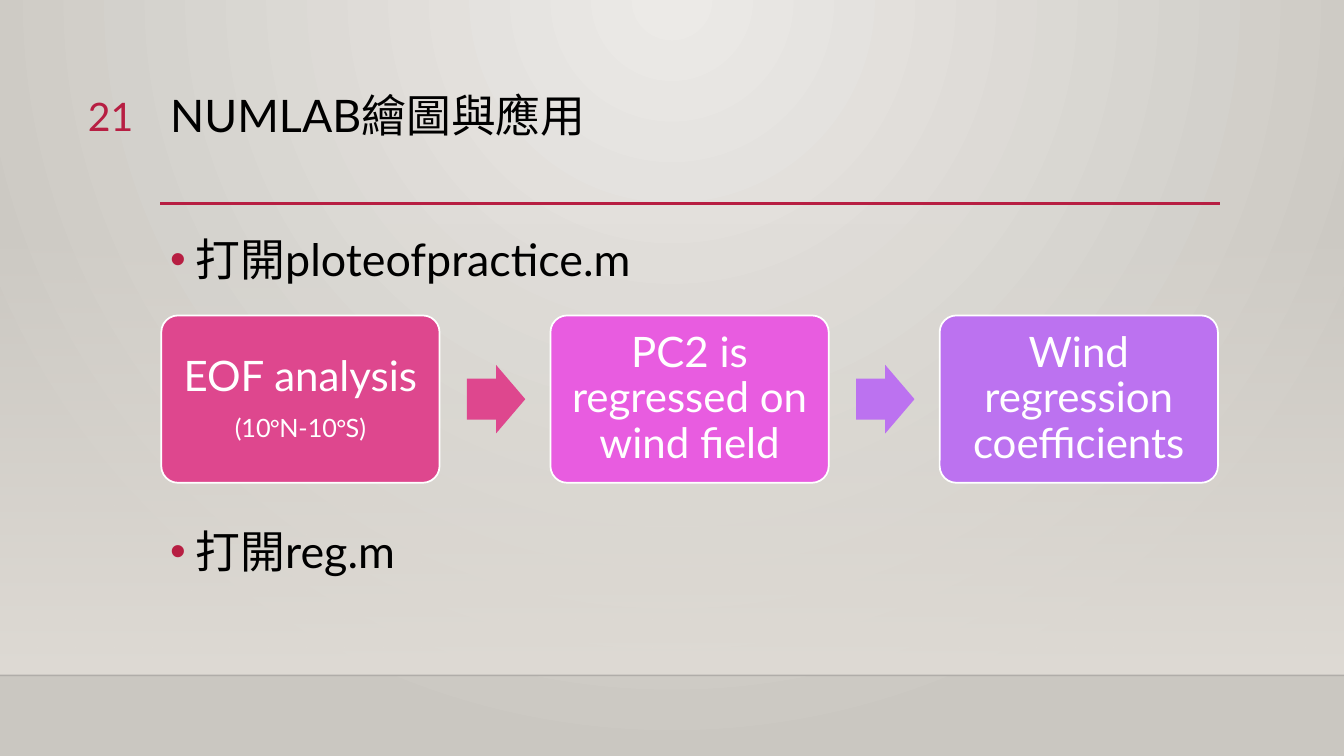
from lxml.etree import SubElement
from pptx import Presentation
from pptx.dml.color import RGBColor
from pptx.enum.shapes import MSO_CONNECTOR, MSO_SHAPE
from pptx.enum.text import MSO_ANCHOR as ANCHOR, PP_ALIGN as ALIGN
from pptx.oxml import parse_xml
from pptx.oxml.ns import nsdecls, qn
from pptx.util import Inches, Pt

COLORS = {
    "center": "ECEAE7", "edge": "CAC7C1", "wall": "DFDBD5", "shelf": "000001",
    "accent": "B71E42", "text": "000000", "white": "FFFFFF",
    "eof": "DE478E", "regress": "E85CE0", "wind": "BC72F0",
}
FONT = "Lato"
WIDTH, HEIGHT = 13.33, 7.5
LEFT, CONTENT_WIDTH = 1.59, 10.5
SHELF_TOP = 6.7
STEP_LEFT, STEP_TOP, STEP_WIDTH, STEP_HEIGHT = 1.6, 3.13, 2.76, 1.66
STEP_PITCH = 3.86
ARROW_WIDTH, ARROW_HEIGHT = 0.58, 0.68


def add_span(para, text, size, color, font=FONT):
    """Append one styled run to a paragraph."""
    span = para.add_run()
    span.text = text
    span.font.size = Pt(size)
    span.font.name = font
    span.font.color.rgb = RGBColor.from_string(COLORS[color])


def gradient(start, end, start_alpha, direction):
    """Return a two-stop gradient fill element."""
    return parse_xml(
        f'<a:gradFill {nsdecls("a")} rotWithShape="1"><a:gsLst>'
        f'<a:gs pos="0"><a:srgbClr val="{COLORS[start]}">'
        f'<a:alpha val="{start_alpha}"/></a:srgbClr></a:gs>'
        f'<a:gs pos="100000"><a:srgbClr val="{COLORS[end]}"/></a:gs>'
        f'</a:gsLst>{direction}</a:gradFill>')


deck = Presentation()
deck.slide_width, deck.slide_height = Inches(WIDTH), Inches(HEIGHT)
page = deck.slides.add_slide(deck.slide_layouts[6])

# Background: radial glow from the top, and a wall that fades in downwards
glow = ('<a:path path="circle"><a:fillToRect l="43000" t="0" r="43000" '
        'b="100000"/></a:path>')
page.background.fill.solid()
solid = page.background._cSld.find(".//" + qn("a:solidFill"))
solid.getparent().replace(solid, gradient("center", "edge", 100000, glow))

wall = page.shapes.add_shape(MSO_SHAPE.RECTANGLE, 0, Inches(2.21),
                             Inches(WIDTH), Inches(SHELF_TOP - 2.21))
wall.shadow.inherit = False
wall.line.fill.background()
wall.fill.solid()
solid = wall._element.spPr.find(qn("a:solidFill"))
solid.getparent().replace(
    solid, gradient("wall", "wall", 0, '<a:lin ang="5400000" scaled="0"/>'))

# Shelf edge and title rule
for start, end, top, color, weight, alpha in [
        (0, WIDTH, SHELF_TOP, "shelf", 1, 20000),
        (LEFT, 12.1, 2.02, "accent", 2.5, 100000)]:
    rule = page.shapes.add_connector(MSO_CONNECTOR.STRAIGHT, Inches(start),
                                     Inches(top), Inches(end), Inches(top))
    rule.line.width = Pt(weight)
    rule.line.color.rgb = RGBColor.from_string(COLORS[color])
    shade = rule._element.spPr.find(".//" + qn("a:srgbClr"))
    SubElement(shade, qn("a:alpha"), val=str(alpha))
    SubElement(rule._element.spPr, qn("a:effectLst"))

# Title, slide number and bulleted body
frames = []
for left, top, width, height in [(LEFT, 0.88, CONTENT_WIDTH, 1.15),
                                 (0.53, 0.87, 0.89, 0.55),
                                 (LEFT, 2.2, CONTENT_WIDTH, 3.77)]:
    box = page.shapes.add_textbox(Inches(left), Inches(top),
                                  Inches(width), Inches(height))
    box.text_frame.word_wrap = True
    frames.append(box.text_frame)
title, number, body = frames

title.paragraphs[0].line_spacing = 0.9
add_span(title.paragraphs[0], "NUMLAB繪圖與應用", 32, "text")
number.paragraphs[0].alignment = ALIGN.RIGHT
add_span(number.paragraphs[0], "21", 28, "accent")

# The second bullet is spaced to sit below the process steps
for index, (text, space) in enumerate([("打開ploteofpractice.m", 10),
                                       ("打開reg.m", 166)]):
    para = body.add_paragraph() if index else body.paragraphs[0]
    para.line_spacing = 1.1
    para.space_before = Pt(space)
    props = para._p.get_or_add_pPr()
    props.set("marL", str(Inches(0.25)))
    props.set("indent", str(-Inches(0.25)))
    tint = SubElement(props, qn("a:buClr"))
    SubElement(tint, qn("a:srgbClr"), val=COLORS["accent"])
    SubElement(props, qn("a:buFont"), typeface="Arial")
    SubElement(props, qn("a:buChar"), char="•")
    add_span(para, text, 32, "text")

# Process steps: each paragraph is a size and its runs
DEGREE = ("°", "Calibri")
steps = [
    ("eof", [(30, [("EOF analysis", FONT)]),
             (18, [("(10", FONT), DEGREE, ("N-10", FONT), DEGREE, ("S)", FONT)])]),
    ("regress", [(30, [("PC2 is regressed on wind field", FONT)])]),
    ("wind", [(30, [("Wind regression coefficients", FONT)])]),
]
arrow_colors = ["eof", "wind"]
for column, (color, paragraphs) in enumerate(steps):
    left = STEP_LEFT + column * STEP_PITCH
    step = page.shapes.add_shape(MSO_SHAPE.ROUNDED_RECTANGLE, Inches(left),
                                 Inches(STEP_TOP), Inches(STEP_WIDTH),
                                 Inches(STEP_HEIGHT))
    step.adjustments[0] = 0.1
    step.shadow.inherit = False
    step.fill.solid()
    step.fill.fore_color.rgb = RGBColor.from_string(COLORS[color])
    step.line.color.rgb = RGBColor.from_string(COLORS["white"])
    step.line.width = Pt(1.25)
    frame = step.text_frame
    frame.word_wrap = True
    frame.vertical_anchor = ANCHOR.MIDDLE
    frame.margin_left = frame.margin_right = Inches(0.15)
    frame.margin_top = frame.margin_bottom = Inches(0.15)
    for index, (size, spans) in enumerate(paragraphs):
        para = frame.add_paragraph() if index else frame.paragraphs[0]
        para.alignment = ALIGN.CENTER
        para.line_spacing = 0.9
        if index:
            para.space_before = Pt(10.5)
        for text, font in spans:
            add_span(para, text, size, "white", font)

    if column < len(arrow_colors):
        arrow = page.shapes.add_shape(
            MSO_SHAPE.RIGHT_ARROW, Inches(left + STEP_WIDTH + 0.27),
            Inches(STEP_TOP + (STEP_HEIGHT - ARROW_HEIGHT) / 2),
            Inches(ARROW_WIDTH), Inches(ARROW_HEIGHT))
        arrow.adjustments[0], arrow.adjustments[1] = 0.6, 0.5
        arrow.shadow.inherit = False
        arrow.fill.solid()
        arrow.fill.fore_color.rgb = RGBColor.from_string(COLORS[arrow_colors[column]])
        arrow.line.fill.background()

deck.save("out.pptx")
